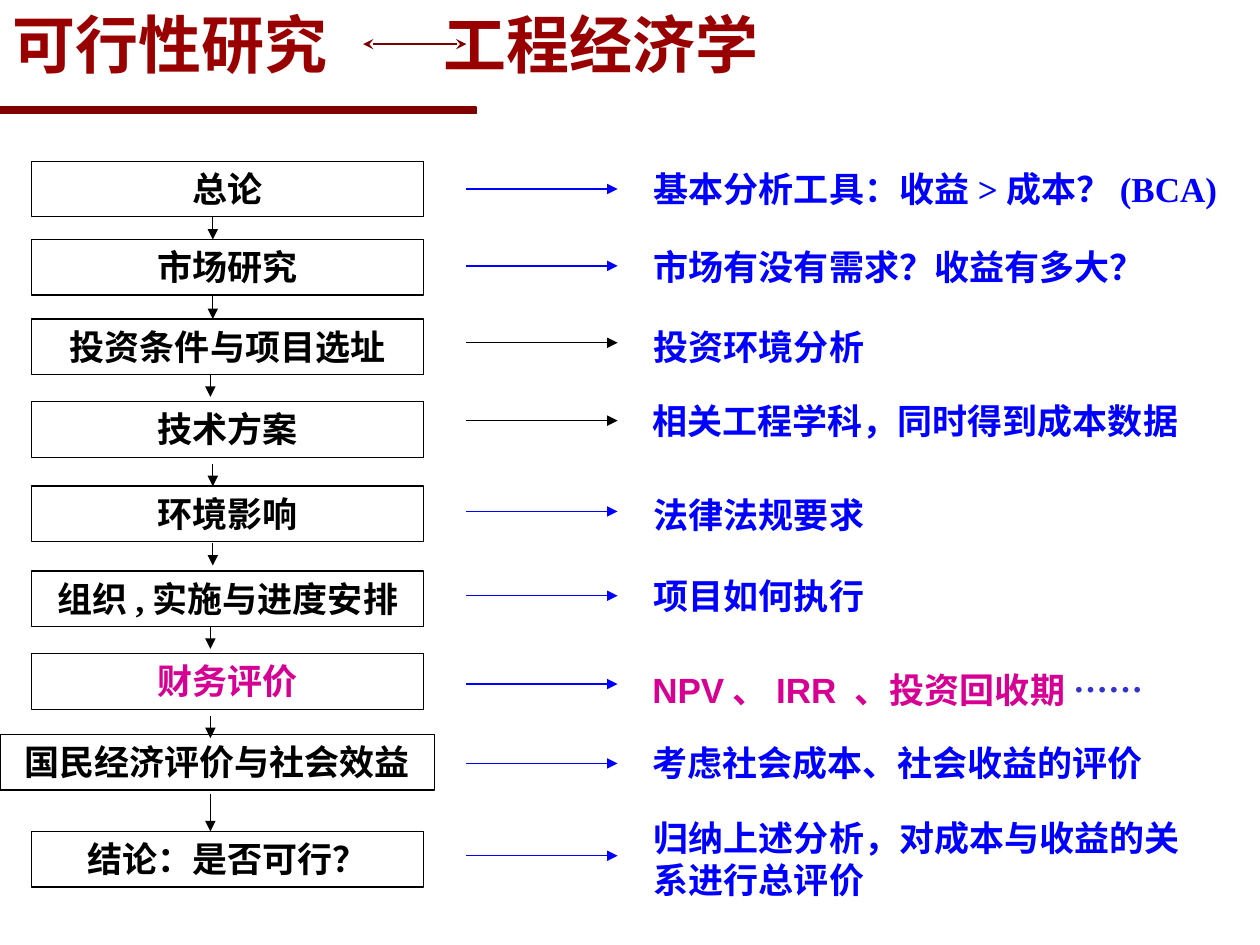
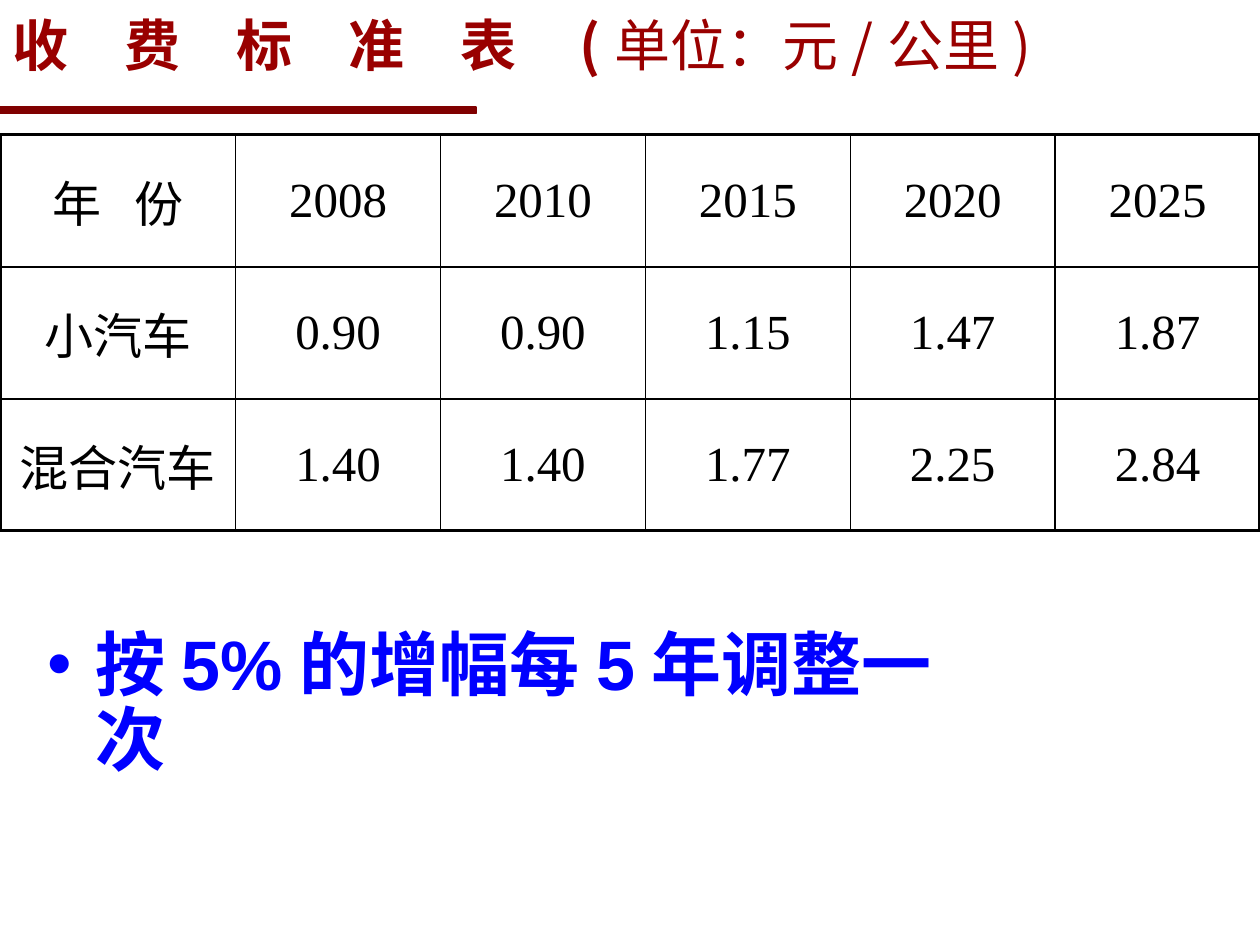
from lxml import etree
from pptx import Presentation
from pptx.dml.color import RGBColor
from pptx.enum.shapes import MSO_CONNECTOR, MSO_SHAPE
from pptx.enum.text import MSO_ANCHOR, MSO_AUTO_SIZE, PP_ALIGN
from pptx.oxml.ns import qn
from pptx.util import Cm, Pt

LEFT, CENTER = PP_ALIGN.LEFT, PP_ALIGN.CENTER
TOP, MIDDLE = MSO_ANCHOR.TOP, MSO_ANCHOR.MIDDLE
NO_FIT = MSO_AUTO_SIZE.NONE
RECT, LINE = MSO_SHAPE.RECTANGLE, MSO_CONNECTOR.STRAIGHT

BLACK = RGBColor(0x00, 0x00, 0x00)
WHITE = RGBColor(0xFF, 0xFF, 0xFF)
BLUE = RGBColor(0x00, 0x00, 0xFF)
INDIGO = RGBColor(0x33, 0x33, 0xCC)
PINK = RGBColor(0xD6, 0x00, 0x93)
RED = RGBColor(0x99, 0x00, 0x00)
MAROON = RGBColor(0x80, 0x00, 0x00)

SANS, SERIF, HAN = "Arial", "Times New Roman", "Noto Sans CJK SC"

# Steps of the study: top, label, colour, font
STEPS = [
    (3.25, "总论", BLACK, SERIF),
    (4.83, "市场研究", BLACK, SERIF),
    (6.43, "投资条件与项目选址", BLACK, SANS),
    (8.1, "技术方案", BLACK, SERIF),
    (9.8, "环境影响", BLACK, SANS),
    (11.51, "组织,实施与进度安排", BLACK, SERIF),
    (13.18, "财务评价", PINK, SERIF),
    (14.81, "国民经济评价与社会效益", BLACK, SERIF),
    (16.76, "结论：是否可行？", BLACK, SERIF),
]
WIDE = 7  # the step whose box is wider than the rest

# Arrows between steps: x, start, end
DROPS = [
    (4.29, 4.37, 4.83), (4.29, 5.97, 6.43), (4.24, 7.54, 8.0),
    (4.29, 9.35, 9.8), (4.29, 10.95, 11.4), (4.24, 12.62, 13.08),
    (4.24, 14.43, 14.88), (4.24, 16.0, 16.76),
]

# Notes on the steps: arrow y, arrow colour, left, top, width, runs, font
NOTES = [
    (3.81, BLUE, 12.93, 3.25, 11.86, ["基本分析工具：收益>成本？(BCA)"], SERIF),
    (5.36, BLUE, 12.93, 4.83, 11.33, ["市场有没有需求？收益有多大？"], SERIF),
    (6.91, BLACK, 12.93, 6.43, 11.33, ["投资环境分析"], SERIF),
    (8.48, BLACK, 12.9, 7.92, 11.33, ["相关工程学科，同时得到成本数据"], SANS),
    (10.31, BLUE, 12.93, 9.83, 11.86, ["法律法规要求"], SERIF),
    (12.01, BLUE, 12.93, 11.46, 11.33, ["项目如何执行"], SANS),
    (13.79, BLUE, 12.9, 13.36, 11.33,
     [("NPV、IRR 、投资回收期 ", {"color": PINK}),
      ("……", {"color": INDIGO})], SANS),
    (15.39, BLUE, 12.9, 14.83, 11.33, ["考虑社会成本、社会收益的评价"], SANS),
    (17.25, BLUE, 12.93, 16.33, 11.33,
     ["归纳上述分析，对成本与收益的关系进行总评价"], SERIF),
]

RATES = [
    [["年", (" ", {"track": 12.5}), "份"], "2008", "2010", "2015", "2020", "2025"],
    ["小汽车", "0.90", "0.90", "1.15", "1.47", "1.87"],
    ["混合汽车", "1.40", "1.40", "1.77", "2.25", "2.84"],
]


def style(run, size, font, color, bold=True, track=0):
    face = run.font
    face.size, face.bold, face.name = Pt(size), bold, font
    face.color.rgb = color
    props = run._r.get_or_add_rPr()
    etree.SubElement(props, qn("a:ea"), typeface=HAN)
    if track:
        props.set("spc", str(int(track * 100)))


def text(frame, runs, align=LEFT, anchor=TOP, tab=None, line=None, **form):
    """Fill a frame with one paragraph; a run is a string or (string, changes)."""
    frame.word_wrap = True
    frame.vertical_anchor = anchor
    para = frame.paragraphs[0]
    if tab:
        stops = etree.SubElement(para._p.get_or_add_pPr(), qn("a:tabLst"))
        etree.SubElement(stops, qn("a:tab"), pos=str(Cm(tab)), algn="l")
    para.alignment = align
    para.space_before = Pt(0)
    if line:
        para.line_spacing = line
    for item in [runs] if isinstance(runs, str) else runs:
        words, extra = (item, {}) if isinstance(item, str) else item
        run = para.add_run()
        run.text = words
        style(run, **{**form, **extra})


def place(shape, *spot):
    shape.left, shape.top, shape.width, shape.height = map(Cm, spot)


def rect(slide, *spot, fill=None, line=BLACK):
    shape = slide.shapes.add_shape(RECT, *map(Cm, spot))
    shape.shadow.inherit = False
    if fill is None:
        shape.fill.background()
    else:
        shape.fill.solid()
        shape.fill.fore_color.rgb = fill
    shape.line.color.rgb = line
    shape.line.width = Pt(0.75)
    return shape


def arrow(slide, *ends, color=BLACK, width=0.75, head=None, tail="triangle"):
    link = slide.shapes.add_connector(LINE, *map(Cm, ends))
    link.line.color.rgb = color
    link.line.width = Pt(width)
    stroke = link.line._get_or_add_ln()
    for tag, kind in (("a:headEnd", head), ("a:tailEnd", tail)):
        if kind:
            etree.SubElement(stroke, qn(tag), type=kind)
    etree.SubElement(link._element.spPr, qn("a:effectLst"))


def title(slide, runs, size, tab):
    shape = slide.shapes.title
    place(shape, 0, 0.03, 22.7, 1.7)
    shape.fill.solid()
    shape.fill.fore_color.rgb = WHITE
    text(shape.text_frame, runs, anchor=MIDDLE, tab=tab,
         size=size, font=HAN, color=RED)
    shape.text_frame.auto_size = NO_FIT


def edges(cell, widths):
    """Draw the left, right, top and bottom borders of a cell."""
    props = cell._tc.get_or_add_tcPr()
    for spot, (side, width) in enumerate(zip("LRTB", widths)):
        edge = etree.Element(qn("a:ln" + side), w=str(Pt(width)))
        fill = etree.SubElement(edge, qn("a:solidFill"))
        etree.SubElement(fill, qn("a:srgbClr"), val=str(BLACK))
        props.insert(spot, edge)


def grid(slide, rows):
    high, wide = len(rows), len(rows[0])
    table = slide.shapes.add_table(
        high, wide, 0, Cm(2.72), Cm(25.4), Cm(2.66 * high)).table
    table.first_row = table.horz_banding = False
    for col, column in enumerate(table.columns):
        column.width = Cm(4.13 if col else 4.75)
    for row, values in enumerate(rows):
        for col, value in enumerate(values):
            cell = table.cell(row, col)
            cell.fill.background()
            text(cell.text_frame, value, align=CENTER,
                 size=28, font=SERIF, color=BLACK, bold=False)
            cell.vertical_anchor = MIDDLE
            outer = (col == 0, col == wide - 1, row == 0, row == high - 1)
            edges(cell, [2 if rim else 1 for rim in outer])


def study(slide):
    title(slide, "可行性研究\t工程经济学", 36, 8.69)
    arrow(slide, 7.32, 0.89, 9.4, 0.89, color=MAROON, width=1.5,
          head="stealth", tail="stealth")
    # Steps on the left
    for num, (top, label, color, font) in enumerate(STEPS):
        left, width = (0, 8.76) if num == WIDE else (0.64, 7.9)
        box = rect(slide, left, top, width, 1.12)
        text(box.text_frame, label, align=CENTER,
             size=20, font=font, color=color)
    for x, start, end in DROPS:
        arrow(slide, x, start, x, end)
    # Notes on the right
    for y, color, left, top, width, runs, font in NOTES:
        arrow(slide, 9.4, y, 12.45, y, color=color)
        note = slide.shapes.add_textbox(*map(Cm, (left, top, width, 1.09)))
        text(note.text_frame, runs, size=20, font=font, color=BLUE)


def rates(slide):
    title(slide, ["收\u3000费\u3000标\u3000准\u3000表\t(".replace("\u3000", "　"),
                  ("单位：元/公里)", {"bold": False})], 32, 11.43)
    grid(slide, RATES)
    # Rule for raising the rates
    body = slide.placeholders[1]
    place(body, 0.71, 12.57, 18.85, 1.78)
    text(body.text_frame, "按5%的增幅每5年调整一次", line=0.9,
         size=40, font=SANS, color=BLUE)
    body.text_frame.auto_size = NO_FIT


def main():
    deck = Presentation()
    deck.slide_width, deck.slide_height = Cm(25.4), Cm(19.05)
    first = deck.slides.add_slide(deck.slide_layouts[5])
    second = deck.slides.add_slide(deck.slide_layouts[1])
    # The band under the title belongs to the master
    band = rect(first, -0.03, 2.16, 9.63, 0.13, fill=MAROON, line=MAROON)
    deck.slide_master.shapes.element.append(band.element)
    study(first)
    rates(second)
    deck.save("out.pptx")


if __name__ == "__main__":
    main()
